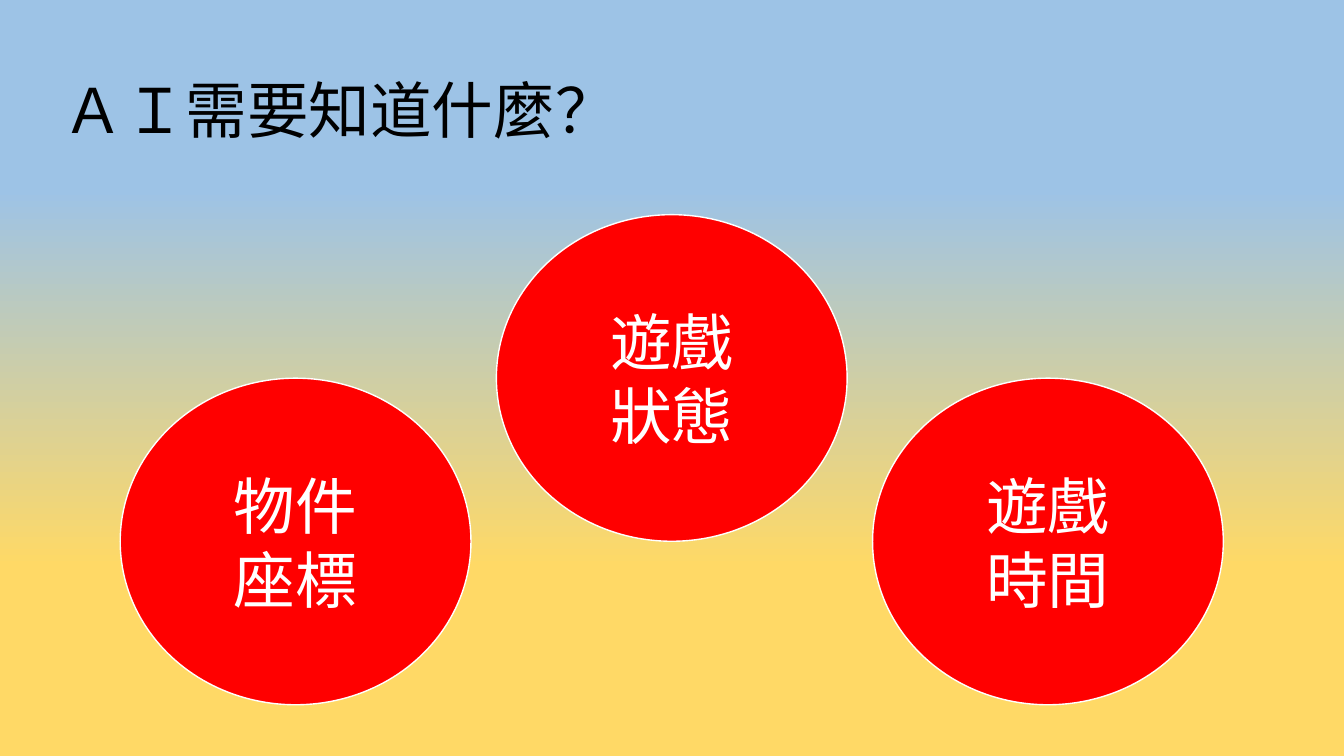
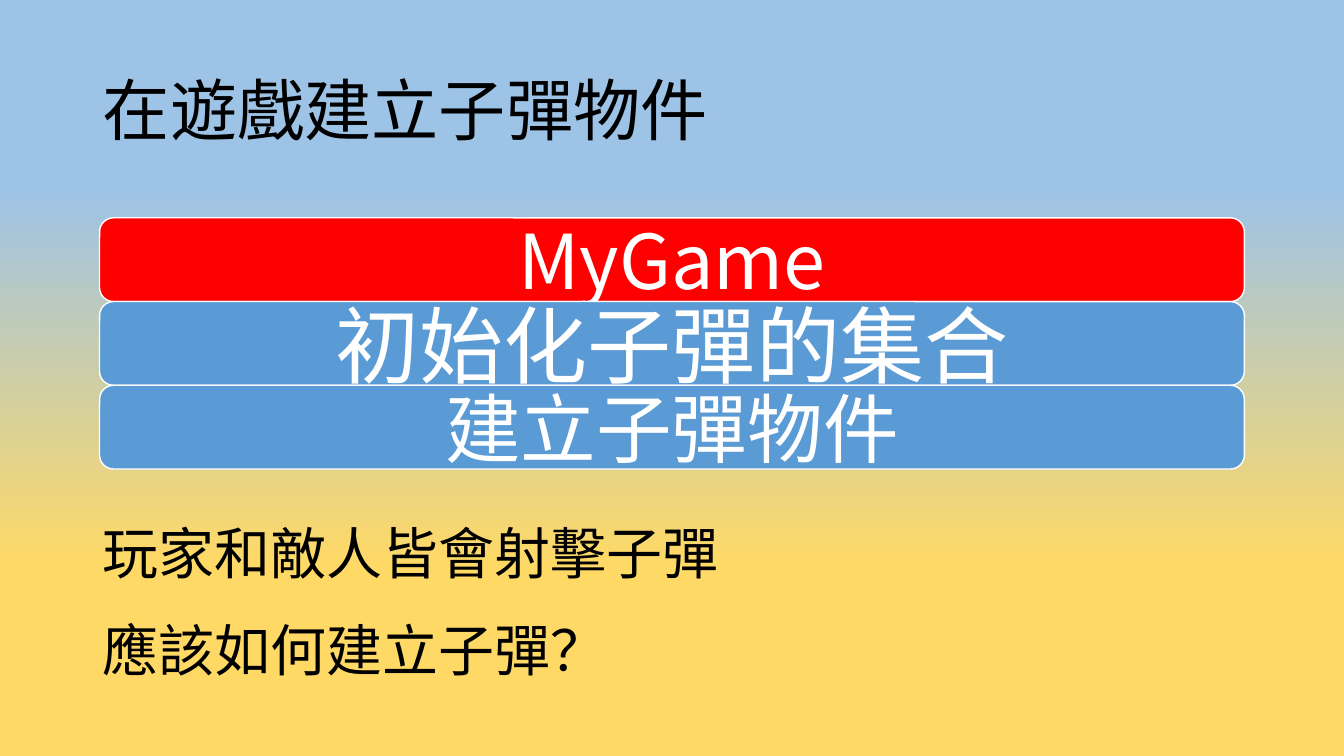
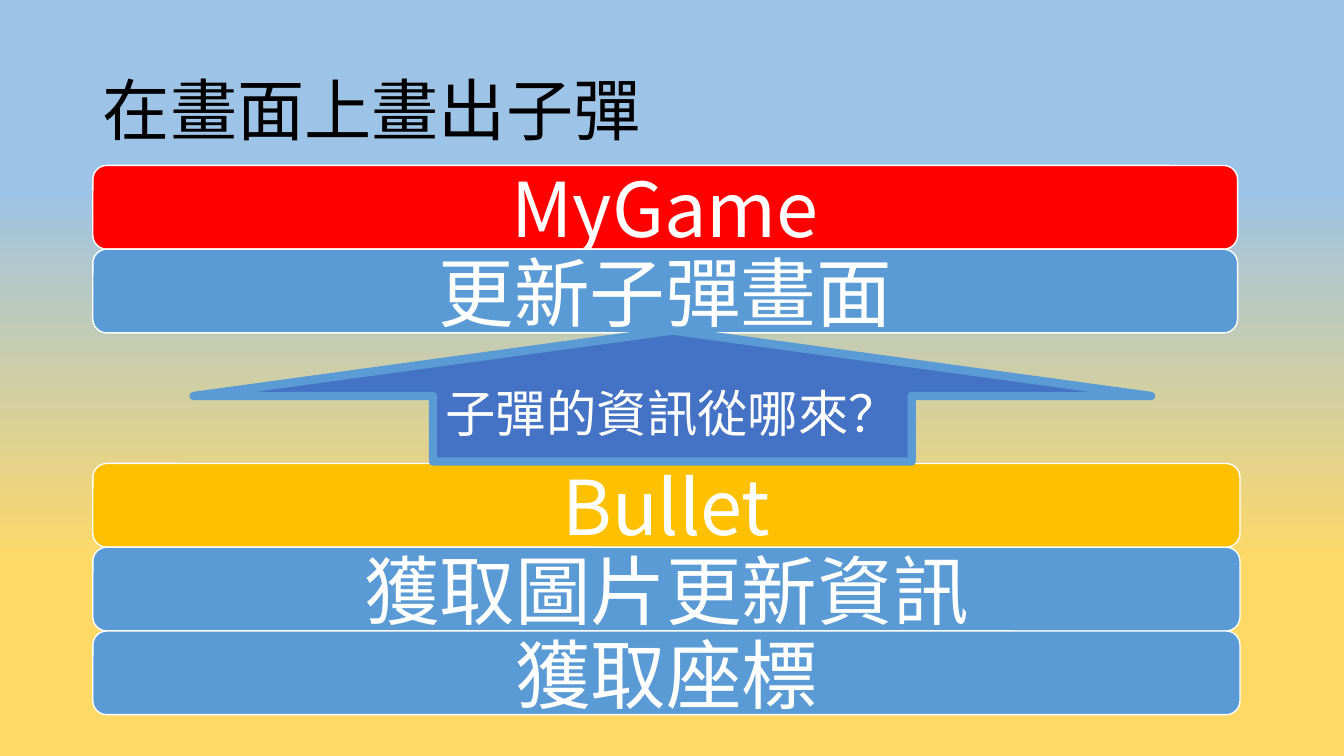
from copy import deepcopy

from lxml import etree
from pptx import Presentation
from pptx.dml.color import RGBColor
from pptx.enum.shapes import MSO_SHAPE
from pptx.enum.text import MSO_ANCHOR, MSO_AUTO_SIZE, PP_ALIGN
from pptx.oxml.ns import qn
from pptx.util import Cm, Pt

OVAL = MSO_SHAPE.OVAL
ROUND = MSO_SHAPE.ROUNDED_RECTANGLE
ARROW = MSO_SHAPE.UP_ARROW
MIDDLE = MSO_ANCHOR.MIDDLE
LEFT, CENTER = PP_ALIGN.LEFT, PP_ALIGN.CENTER

SKY = RGBColor(0x9D, 0xC3, 0xE6)
SAND = RGBColor(0xFF, 0xD9, 0x66)
RED = RGBColor(0xFF, 0x00, 0x00)
BLUE = RGBColor(0x5B, 0x9B, 0xD5)
NAVY = RGBColor(0x44, 0x72, 0xC4)
GOLD = RGBColor(0xFF, 0xC0, 0x00)
WHITE = RGBColor(0xFF, 0xFF, 0xFF)
BLACK = RGBColor(0x00, 0x00, 0x00)
FONT = "Noto Sans CJK SC"


def write(frame, lines, size, color, align):
    frame.word_wrap = True
    frame.auto_size = MSO_AUTO_SIZE.NONE
    for i, line in enumerate(lines):
        para = frame.add_paragraph() if i else frame.paragraphs[0]
        para.text = line
        para.alignment = align
        font = para.font
        font.size = Pt(size)
        font.color.rgb = color
        font.name = FONT
        props = para._p.find(".//" + qn("a:defRPr"))
        etree.SubElement(props, qn("a:ea"), typeface=FONT)


def draw(slide, kind, box, fill, lines, size, edge=WHITE, width=1):
    shape = slide.shapes.add_shape(kind, *map(Cm, box))
    shape.shadow.inherit = False
    shape.fill.solid()
    shape.fill.fore_color.rgb = fill
    shape.line.color.rgb = edge
    shape.line.width = Pt(width)
    frame = shape.text_frame
    frame.vertical_anchor = MIDDLE
    frame.margin_left = frame.margin_right = 0
    frame.margin_top = frame.margin_bottom = 0
    write(frame, lines, size, WHITE, CENTER)


deck = Presentation()
deck.slide_width, deck.slide_height = Cm(33.87), Cm(19.05)

master = deck.slide_master
back = master.background.fill
back.gradient()
back.gradient_angle = 270
stops = master.element.find(".//" + qn("a:gsLst"))
for stop in list(stops):
    stops.append(deepcopy(stop))
shades = [(0, SKY), (0.25, SKY), (0.75, SAND), (1, SAND)]
for stop, (place, color) in zip(back.gradient_stops, shades):
    stop.position = place
    stop.color.rgb = color

titles = [
    ("ＡＩ需要知道什麼？", 44, 1.32, 30.2),
    ("在遊戲建立子彈物件", 48, 2.34, 29.21),
    ("在畫面上畫出子彈", 48, 2.34, 29.21),
]
slides = []
for text, size, left, width in titles:
    slide = deck.slides.add_slide(deck.slide_layouts[5])
    title = slide.shapes.title
    title.left, title.top = Cm(left), Cm(1.02)
    title.width, title.height = Cm(width), Cm(3.68)
    title.text_frame.vertical_anchor = MIDDLE
    write(title.text_frame, [text], size, BLACK, LEFT)
    title.text_frame.paragraphs[0].line_spacing = 0.9
    slides.append(slide)
needs, build, paint = slides

facts = [
    (9.53, ["物件", "座標"]),
    (5.41, ["遊戲", "狀態"]),
    (9.53, ["遊戲", "時間"]),
]
for i, (top, lines) in enumerate(facts):
    draw(needs, OVAL, (3.03 + 9.48 * i, top, 8.84, 8.23), RED, lines, 44)

stacks = [
    (build, 2.51, 5.49, 28.85, RED,
     [("MyGame", 54), ("初始化子彈的集合", 60), ("建立子彈物件", 54)]),
    (paint, 2.34, 4.17, 28.85, RED,
     [("MyGame", 54), ("更新子彈畫面", 54)]),
    (paint, 2.34, 11.68, 28.91, GOLD,
     [("Bullet", 54), ("獲取圖片更新資訊", 54), ("獲取座標", 54)]),
]
for slide, left, top, width, head, rows in stacks:
    for i, (text, size) in enumerate(rows):
        box = (left, top + 2.11 * i, width, 2.11)
        draw(slide, ROUND, box, BLUE if i else head, [text], size)

note = build.shapes.add_textbox(Cm(2.34), Cm(12.6), Cm(29.21), Cm(6.45))
write(note.text_frame, ["玩家和敵人皆會射擊子彈", "應該如何建立子彈？"],
      40, BLACK, LEFT)
for i, para in enumerate(note.text_frame.paragraphs):
    para.line_spacing = 1.2
    para.space_before = Pt(6 if i else 0)
    para.space_after = Pt(6)

draw(paint, ARROW, (4.88, 8.33, 24.13, 3.3), NAVY,
     ["子彈的資訊從哪來？"], 36, BLUE, 6)

deck.save("out.pptx")
